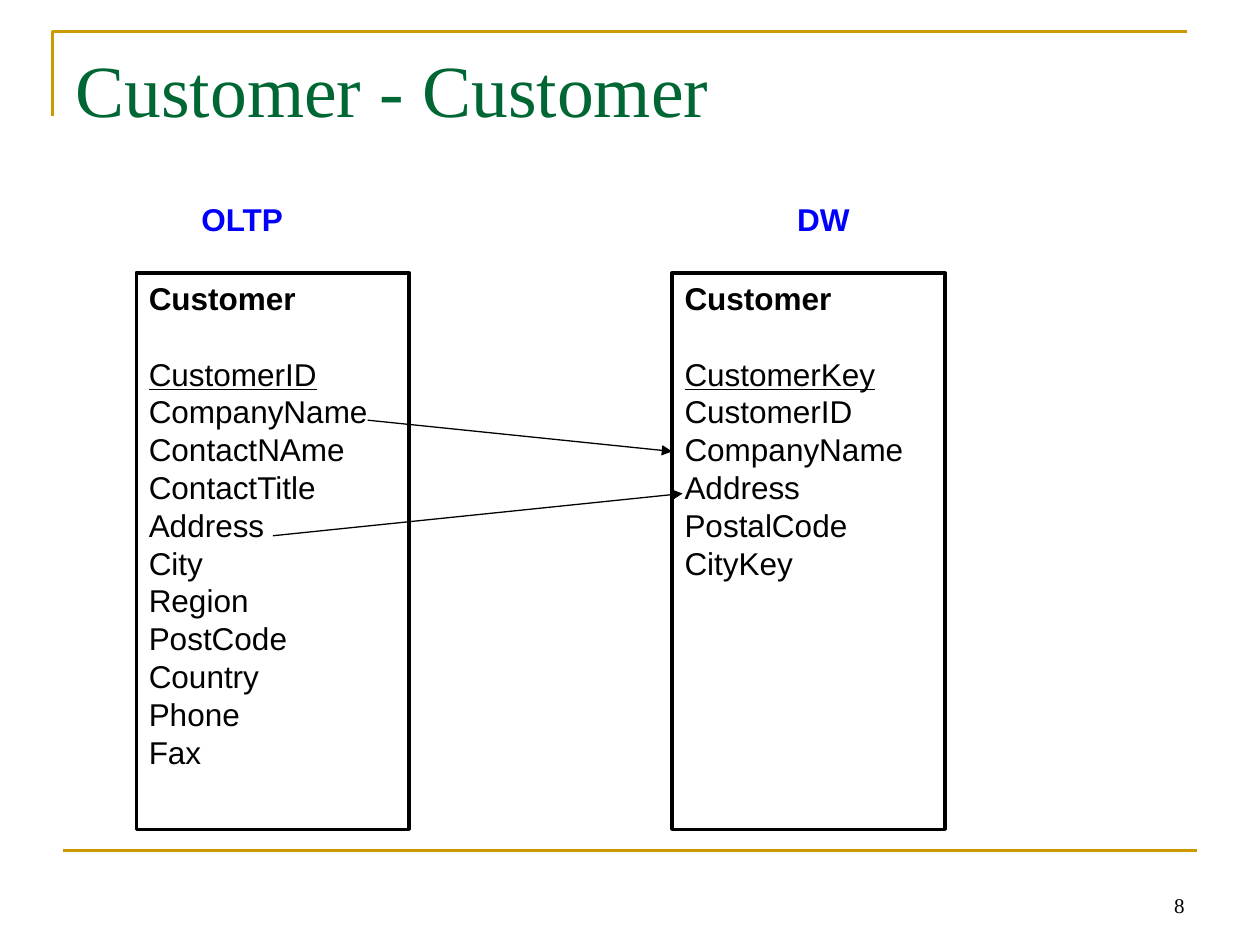
"""Build a slide mapping the OLTP Customer table to the DW Customer table."""
from dataclasses import dataclass

from lxml import etree
from pptx import Presentation
from pptx.dml.color import RGBColor
from pptx.enum.shapes import MSO_CONNECTOR, MSO_SHAPE
from pptx.enum.text import MSO_ANCHOR, PP_ALIGN
from pptx.oxml.ns import qn
from pptx.util import Cm, Pt

STRAIGHT = MSO_CONNECTOR.STRAIGHT
RECTANGLE = MSO_SHAPE.RECTANGLE
TOP, BOTTOM = MSO_ANCHOR.TOP, MSO_ANCHOR.BOTTOM
LEFT, RIGHT = PP_ALIGN.LEFT, PP_ALIGN.RIGHT
TITLE_ONLY = 5


@dataclass(frozen=True)
class Theme:
    gold: RGBColor = RGBColor(0xCC, 0x99, 0x00)
    green: RGBColor = RGBColor(0x00, 0x66, 0x33)
    blue: RGBColor = RGBColor(0x00, 0x00, 0xFF)
    black: RGBColor = RGBColor(0x00, 0x00, 0x00)
    white: RGBColor = RGBColor(0xFF, 0xFF, 0xFF)
    serif: str = "Times New Roman"
    sans: str = "Arial"
    title_size: Pt = Pt(42)
    body_size: Pt = Pt(18)
    number_size: Pt = Pt(12)
    body_leading: Pt = Pt(21.6)


THEME = Theme()


def style(paragraph, face, size, color, bold=False, align=LEFT):
    paragraph.alignment = align
    font = paragraph.font
    font.name, font.size, font.bold = face, size, bold
    font.color.rgb = color


def add_line(start, end, color, width):
    line = slide.shapes.add_connector(STRAIGHT, *map(Cm, start + end))
    line.line.color.rgb = color
    line.line.width = width
    etree.SubElement(line._element.spPr, qn("a:effectLst"))
    return line


prs = Presentation()
prs.slide_width, prs.slide_height = Cm(25.4), Cm(19.05)
slide = prs.slides.add_slide(prs.slide_layouts[TITLE_ONLY])

title = slide.shapes.title
title.left, title.top, title.width, title.height = Cm(1.27), Cm(0.76), Cm(22.86), Cm(3.18)
title.text_frame.text = "Customer - Customer"
title.text_frame.vertical_anchor = TOP
style(title.text_frame.paragraphs[0], THEME.serif, THEME.title_size, THEME.green)

outline = slide.shapes.build_freeform(Cm(1.06), Cm(2.33))
outline.add_line_segments([(Cm(1.06), Cm(0.64)), (Cm(23.92), Cm(0.64))], close=False)
corner = outline.convert_to_shape()
corner.shadow.inherit = False
corner.fill.background()
corner.line.color.rgb = THEME.gold
corner.line.width = Pt(1.5)
add_line((1.27, 17.15), (24.13, 17.15), THEME.gold, Pt(1.5))

page_number = slide.shapes.add_textbox(Cm(18.2), Cm(17.36), Cm(5.93), Cm(1.27)).text_frame
page_number.word_wrap = True
page_number.vertical_anchor = BOTTOM
page_number.text = "8"
style(page_number.paragraphs[0], THEME.serif, THEME.number_size, THEME.black, align=RIGHT)

tables = [
    (2.75, ["Customer", "CustomerID", "CompanyName", "ContactNAme", "ContactTitle", "Address",
            "City", "Region", "PostCode", "Country", "Phone", "Fax"]),
    (13.55, ["Customer", "CustomerKey", "CustomerID", "CompanyName", "Address", "PostalCode",
             "CityKey"]),
]
for left, rows in tables:
    entity = slide.shapes.add_shape(RECTANGLE, Cm(left), Cm(5.5), Cm(5.5), Cm(11.22))
    entity.shadow.inherit = False
    entity.fill.solid()
    entity.fill.fore_color.rgb = THEME.white
    entity.line.color.rgb = THEME.black
    entity.line.width = Pt(2)
    fields = entity.text_frame
    fields.word_wrap = True
    fields.vertical_anchor = TOP
    fields.text = "\n".join(rows)
    for index, field in enumerate(fields.paragraphs):
        style(field, THEME.sans, THEME.body_size, THEME.black, bold=index == 0)
        field.line_spacing = THEME.body_leading
        field.font.underline = index == 1
    fields.paragraphs[0].space_after = THEME.body_leading

for start, end in [((7.41, 8.47), (13.55, 9.1)), ((5.5, 10.8), (13.76, 9.95))]:
    mapping = add_line(start, end, THEME.black, Pt(0.75))
    etree.SubElement(mapping.line._get_or_add_ln(), qn("a:tailEnd"), type="triangle")

for name, left, width in [("OLTP", 3.81, 2.3), ("DW", 15.82, 1.75)]:
    heading = slide.shapes.add_textbox(Cm(left), Cm(3.91), Cm(width), Cm(1.02)).text_frame
    heading.word_wrap = True
    heading.text = name
    style(heading.paragraphs[0], THEME.sans, THEME.body_size, THEME.blue, bold=True)
    heading.paragraphs[0].line_spacing = THEME.body_leading

prs.save("out.pptx")
